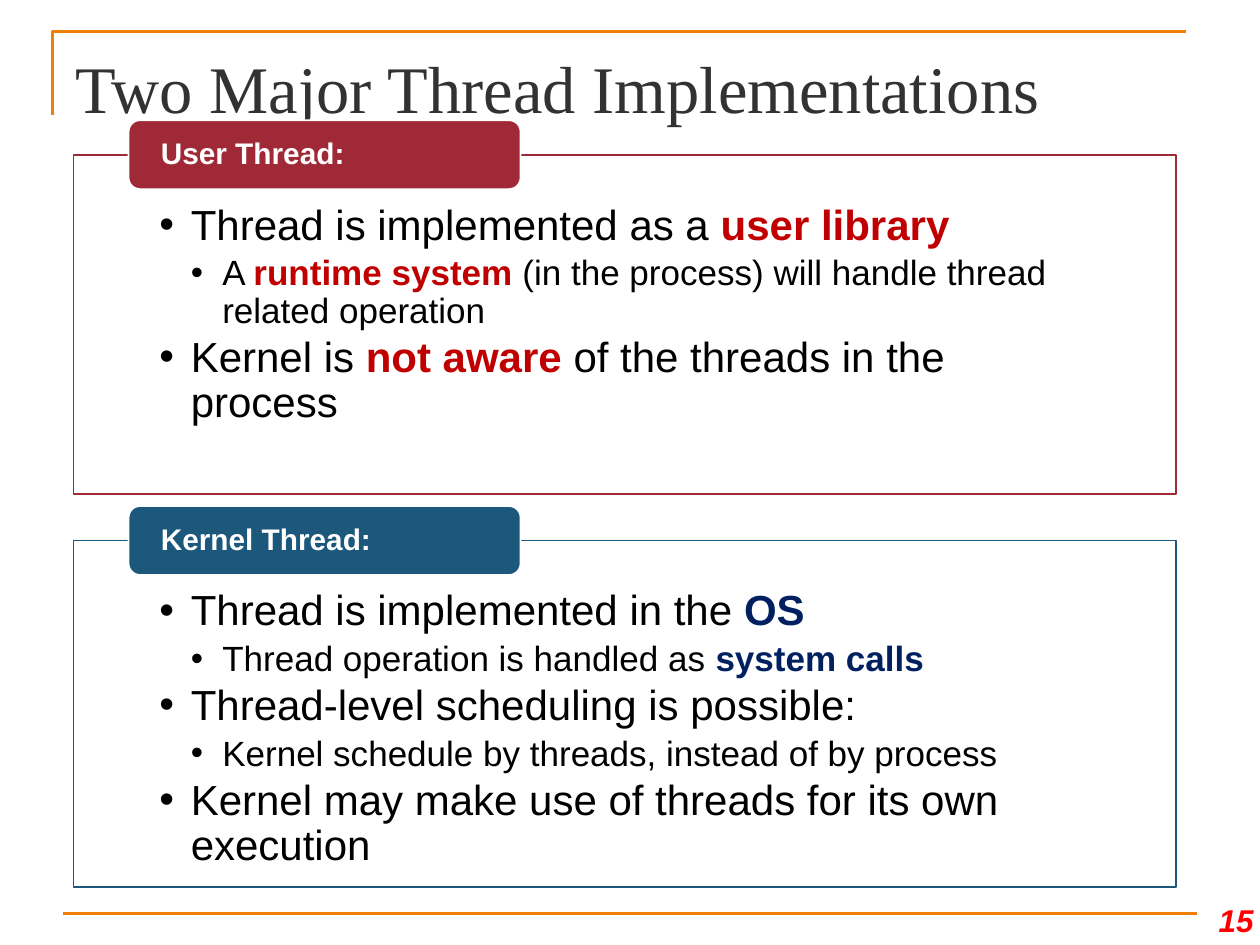
from lxml.etree import SubElement
from pptx import Presentation
from pptx.dml.color import RGBColor
from pptx.enum.shapes import MSO_CONNECTOR, MSO_SHAPE
from pptx.enum.text import MSO_ANCHOR, MSO_AUTO_SIZE, PP_ALIGN
from pptx.oxml.ns import qn
from pptx.util import Pt

ORANGE, CRIMSON, BLUE = "F07F09", "9F2936", "1B587C"
WHITE, BLACK, RED = "FFFFFF", "000000", "FF0000"
LEVEL_SIZES = (24, 20)
INDENT = 18


def rgb(value):
    return RGBColor.from_string(value)


class ThreadSlide:
    """Holds the slide and its style; lengths are in points."""

    font = "Arial"
    title_font = "Times New Roman"

    def __init__(self, presentation):
        self.slide = presentation.slides.add_slide(presentation.slide_layouts[3])

    def place(self, shape, left, top, width, height):
        shape.left, shape.top = Pt(left), Pt(top)
        shape.width, shape.height = Pt(width), Pt(height)

    def prepare_frame(self, shape, anchor, margins):
        frame = shape.text_frame
        frame.word_wrap = True
        frame.auto_size = MSO_AUTO_SIZE.NONE
        frame.vertical_anchor = anchor
        (frame.margin_left, frame.margin_top,
         frame.margin_right, frame.margin_bottom) = map(Pt, margins)
        return frame

    def add_run(self, paragraph, text, size, color, bold=False, italic=False, font=None):
        run = paragraph.add_run()
        run.text = text
        run.font.name = font or self.font
        run.font.size = Pt(size)
        run.font.bold, run.font.italic = bold, italic
        run.font.color.rgb = rgb(color)

    def outline(self, shape, color, width):
        shape.line.color.rgb = rgb(color)
        shape.line.width = Pt(width)

    def add_corner(self, left, top, right, bottom):
        builder = self.slide.shapes.build_freeform(Pt(left), Pt(bottom))
        builder.add_line_segments([(Pt(left), Pt(top)), (Pt(right), Pt(top))], close=False)
        corner = builder.convert_to_shape()
        corner.fill.background()
        corner.shadow.inherit = False
        self.outline(corner, ORANGE, 1.5)

    def add_rule(self, left, right, y):
        rule = self.slide.shapes.add_connector(
            MSO_CONNECTOR.STRAIGHT, Pt(left), Pt(y), Pt(right), Pt(y))
        self.outline(rule, ORANGE, 1.5)
        SubElement(rule.element.spPr, qn("a:effectLst"))

    def add_title(self, text):
        title = self.slide.shapes.title
        self.place(title, 36, 21.6, 648, 56.2)
        frame = self.prepare_frame(title, MSO_ANCHOR.MIDDLE, (7.2, 3.6, 7.2, 3.6))
        paragraph = frame.paragraphs[0]
        paragraph.alignment = PP_ALIGN.LEFT
        self.add_run(paragraph, text, 38, "323232", font=self.title_font)

    def add_page_number(self, text):
        box = self.slide.shapes.add_textbox(Pt(678.2), Pt(504), Pt(41.8), Pt(36))
        frame = self.prepare_frame(box, MSO_ANCHOR.BOTTOM, (7.2, 3.6, 3.6, 3.6))
        paragraph = frame.paragraphs[0]
        paragraph.alignment = PP_ALIGN.RIGHT
        self.add_run(paragraph, text, 18, RED, bold=True, italic=True)

    def add_bullet(self, paragraph, level, pieces, accent):
        """Every second piece of the text is emphasised."""
        size = LEVEL_SIZES[level]
        paragraph.level = level
        properties = paragraph._p.get_or_add_pPr()
        properties.set("marL", str(Pt(INDENT * (level + 1))))
        properties.set("indent", str(-Pt(INDENT)))
        SubElement(properties, qn("a:buChar"), char="•")
        paragraph.alignment = PP_ALIGN.LEFT
        paragraph.line_spacing = 0.9
        paragraph.space_before = Pt(0)
        paragraph.space_after = Pt(size * 0.15)
        for position, text in enumerate(pieces):
            strong = position % 2 == 1
            self.add_run(paragraph, text, size, accent if strong else BLACK, bold=strong)

    def add_panel(self, index, top, height, color, accent, bullets):
        panel = self.slide.placeholders[index]
        self.place(panel, 42, top, 630, height)
        panel.fill.solid()
        panel.fill.fore_color.rgb = rgb(WHITE)
        solid_color = panel.element.spPr.find(qn("a:solidFill"))[0]
        SubElement(solid_color, qn("a:alpha"), val="90000")
        self.outline(panel, color, 1)
        frame = self.prepare_frame(panel, MSO_ANCHOR.TOP, (49, 28, 49, 13.7))
        for position, (level, *pieces) in enumerate(bullets):
            paragraph = frame.add_paragraph() if position else frame.paragraphs[0]
            self.add_bullet(paragraph, level, pieces, accent)

    def add_tab(self, panel_top, color, heading):
        tab = self.slide.shapes.add_shape(
            MSO_SHAPE.ROUNDED_RECTANGLE, Pt(73.5), Pt(panel_top - 19.7), Pt(224), Pt(39.4))
        tab.shadow.inherit = False
        tab.fill.solid()
        tab.fill.fore_color.rgb = rgb(color)
        self.outline(tab, WHITE, 1)
        frame = self.prepare_frame(tab, MSO_ANCHOR.MIDDLE, (16.5, 0, 16.5, 0))
        paragraph = frame.paragraphs[0]
        paragraph.alignment = PP_ALIGN.LEFT
        paragraph.line_spacing = 0.9
        self.add_run(paragraph, heading, 17, WHITE, bold=True)


def main():
    presentation = Presentation()
    presentation.slide_width, presentation.slide_height = Pt(720), Pt(540)
    page = ThreadSlide(presentation)
    page.add_corner(30, 18, 678, 66)
    page.add_rule(36, 684, 522)
    page.add_title("Two Major Thread Implementations")
    page.add_page_number("15")

    user_bullets = [
        (0, "Thread is implemented as a ", "user library"),
        (1, "A ", "runtime system ", "(in the process) will handle thread related operation"),
        (0, "Kernel is ", "not aware ", "of the threads in the process"),
    ]
    kernel_bullets = [
        (0, "Thread is implemented in the ", "OS"),
        (1, "Thread operation is handled as ", "system calls"),
        (0, "Thread-level scheduling is possible:"),
        (1, "Kernel schedule by threads, instead of by process"),
        (0, "Kernel may make use of threads for its own execution"),
    ]
    implementations = [
        ("User Thread:", 88.4, 193.7, CRIMSON, "C00000", user_bullets),
        ("Kernel Thread:", 308.9, 198, BLUE, "002060", kernel_bullets),
    ]
    for index, (heading, top, height, color, accent, bullets) in enumerate(implementations, 1):
        page.add_panel(index, top, height, color, accent, bullets)
        page.add_tab(top, color, heading)

    presentation.save("out.pptx")


if __name__ == "__main__":
    main()
